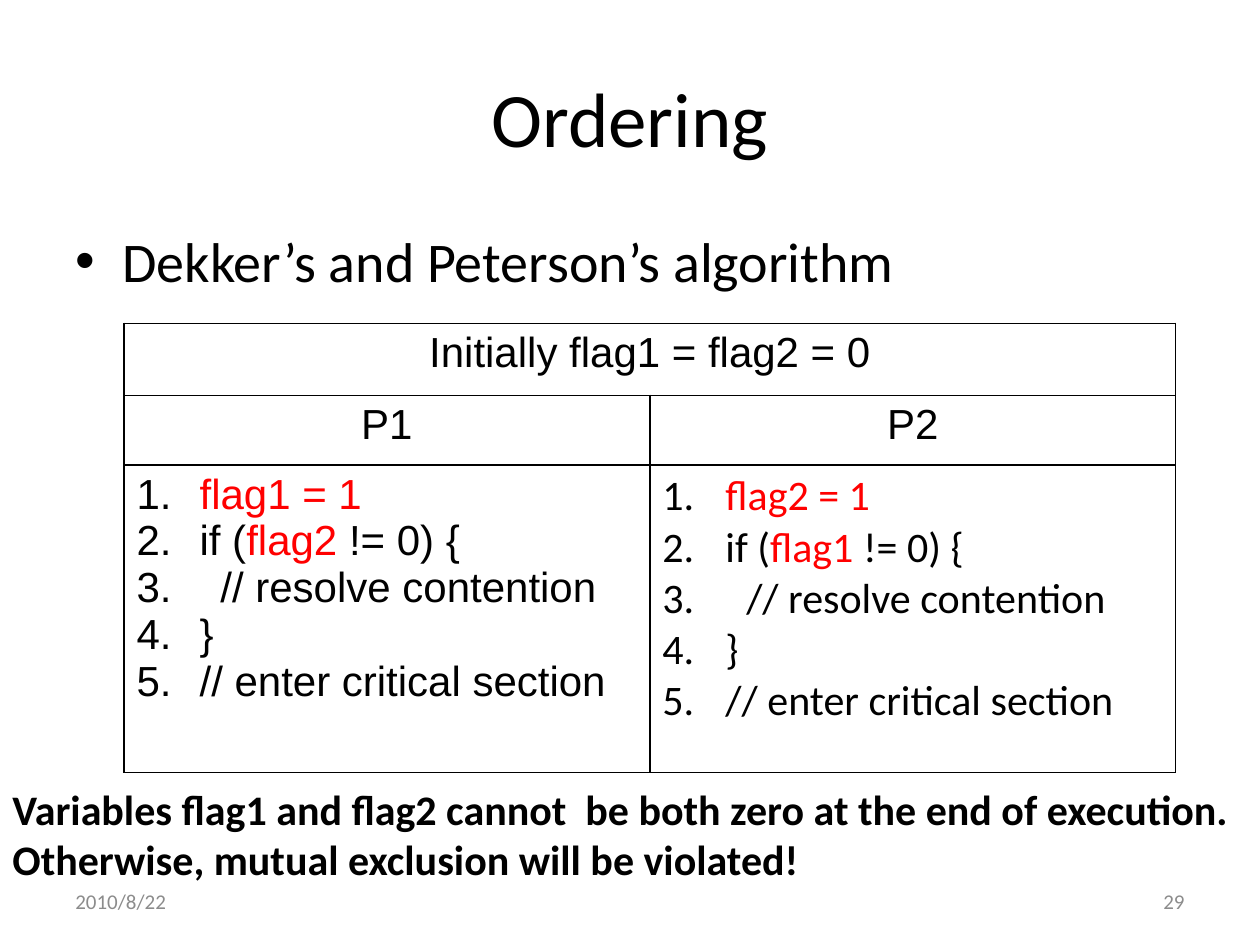
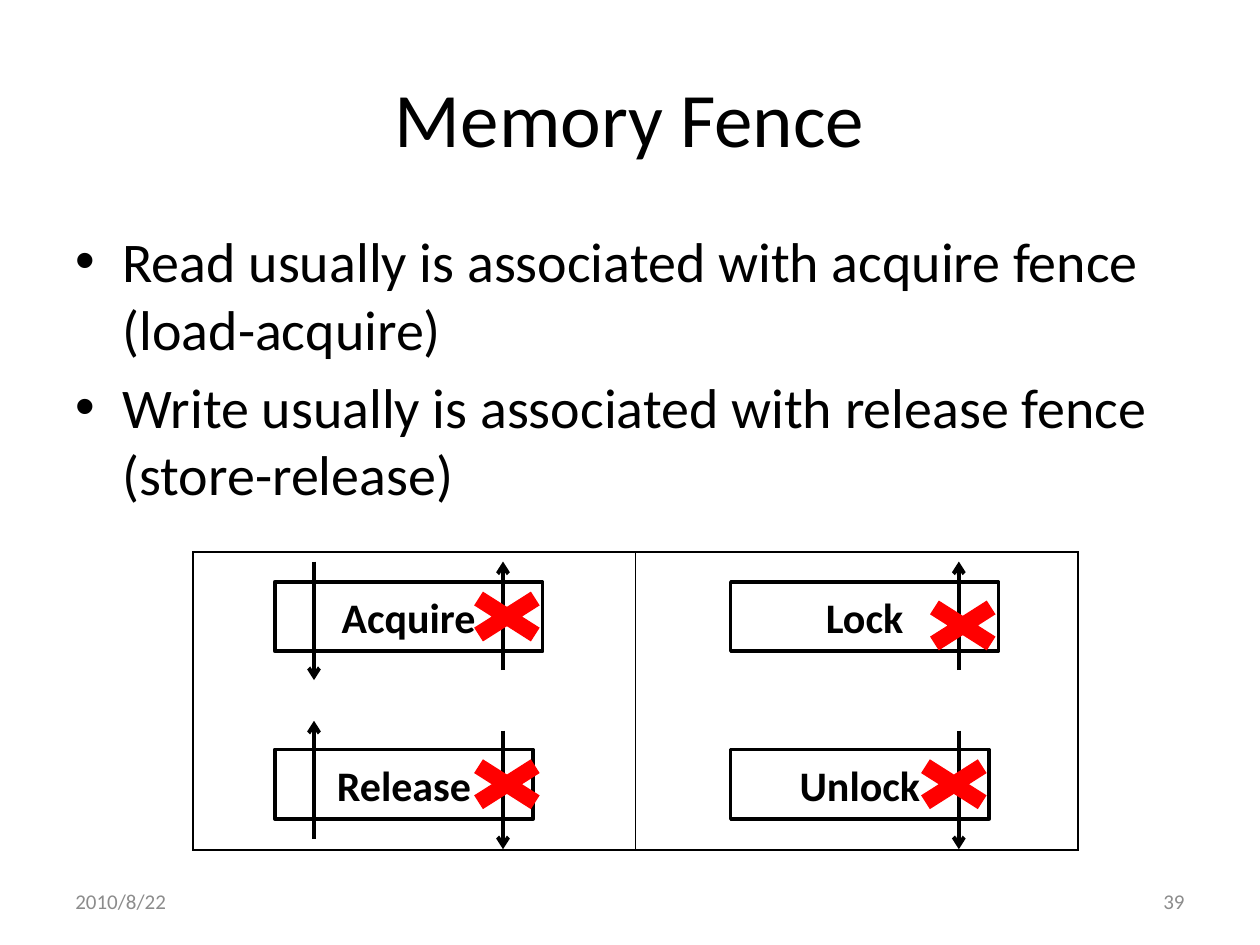
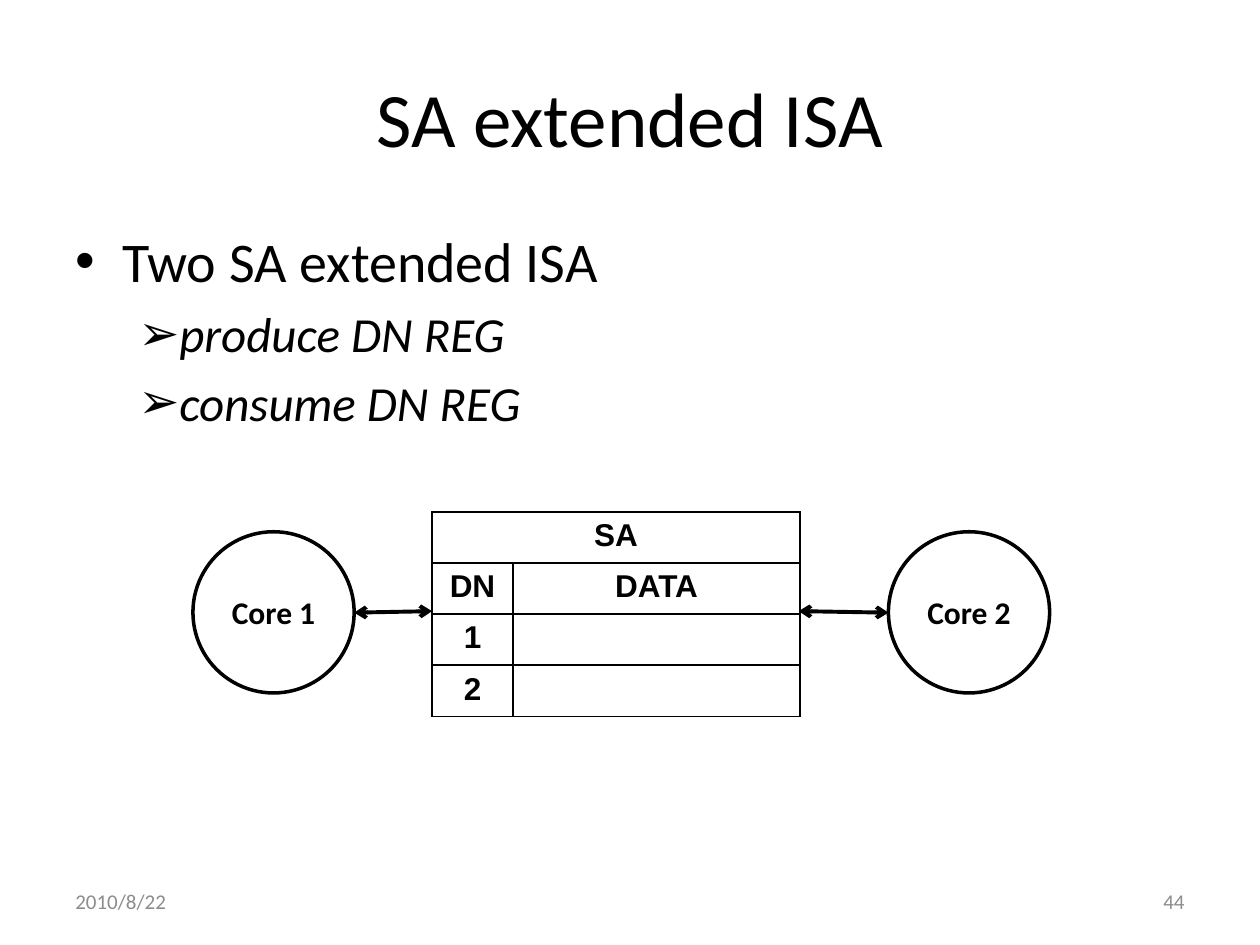
from dataclasses import dataclass
from typing import NamedTuple, Optional

from lxml import etree
from pptx import Presentation
from pptx import util as u
from pptx.dml.color import RGBColor
from pptx.enum import shapes, text
from pptx.oxml import ns
from pptx.util import Cm


# Theme: colours, fonts and type sizes
@dataclass(frozen=True)
class Theme:
    ink: str = "000000"
    paper: str = "FFFFFF"
    accent: str = "FF0000"
    muted: str = "8C8C8C"
    font: str = "Calibri"
    table_font: str = "Arial"
    title: int = 44
    body: int = 32
    sub_body: int = 28
    label: int = 24
    small_label: int = 18
    footer: int = 12
    outline: float = 2
    arrow: float = 2.25
    border: float = 1


THEME = Theme()
LEFT, CENTER, RIGHT = text.PP_ALIGN.LEFT, text.PP_ALIGN.CENTER, text.PP_ALIGN.RIGHT
DATE = "2010/8/22"


class Box(NamedTuple):
    left: float
    top: float
    width: float
    height: float

    def lengths(self) -> list:
        return [Cm(value) for value in self]


class Run(NamedTuple):
    words: str
    color: str = THEME.ink


class Bullet(NamedTuple):
    mark: str  # an empty mark means automatic numbering
    margin: float
    hanging: float


POINT = Bullet("•", 0.95, 0.95)
SUB_POINT = Bullet("➢", 2.06, 0.79)
NUMBER = Bullet("", 1.27, 1.27)
NESTED_NUMBER = Bullet("", 1.69, 1.69)

TITLE_BOX = Box(1.27, 0.76, 22.86, 3.18)
BODY_BOX = Box(1.27, 4.45, 22.86, 12.57)
DATE_BOX = Box(1.27, 17.65, 5.93, 1.02)
NUMBER_BOX = DATE_BOX._replace(left=18.2)


# Text
def add_bullet(paragraph, bullet: Bullet) -> None:
    properties = paragraph._p.get_or_add_pPr()
    properties.set("marL", str(Cm(bullet.margin)))
    properties.set("indent", str(-Cm(bullet.hanging)))
    color = etree.SubElement(properties, ns.qn("a:buClr"))
    etree.SubElement(color, ns.qn("a:srgbClr"), val=THEME.ink)
    etree.SubElement(properties, ns.qn("a:buFont"), typeface=THEME.table_font)
    if bullet.mark:
        etree.SubElement(properties, ns.qn("a:buChar"), char=bullet.mark)
    else:
        etree.SubElement(properties, ns.qn("a:buAutoNum"), type="arabicPeriod")


def write(frame, *runs: Run, size: float, font: str = THEME.font, bold: bool = False,
          italic: bool = False, align=LEFT, bullet: Optional[Bullet] = None,
          space_before: float = 0) -> None:
    """Fill the first paragraph of the frame, or append another one."""
    paragraph = frame.paragraphs[-1]
    if paragraph.runs:
        paragraph = frame.add_paragraph()
    paragraph.alignment = align
    paragraph.space_before = u.Pt(space_before)
    if bullet:
        add_bullet(paragraph, bullet)
    for words, color in runs:
        run = paragraph.add_run()
        run.text = words
        run.font.size, run.font.name = u.Pt(size), font
        run.font.bold, run.font.italic = bold, italic
        run.font.color.rgb = RGBColor.from_string(color)


def add_text_box(slide, box: Box, anchor=text.MSO_ANCHOR.MIDDLE):
    frame = slide.shapes.add_textbox(*box.lengths()).text_frame
    frame.word_wrap = True
    frame.vertical_anchor = anchor
    return frame


# Shapes, arrows and tables
def add_shape(slide, kind, box: Box, fill: Optional[str] = None, outlined: bool = False):
    shape = slide.shapes.add_shape(kind, *box.lengths())
    shape.shadow.inherit = False
    if fill:
        shape.fill.solid()
        shape.fill.fore_color.rgb = RGBColor.from_string(fill)
    else:
        shape.fill.background()
    if outlined:
        shape.line.color.rgb = RGBColor.from_string(THEME.ink)
        shape.line.width = u.Pt(THEME.outline)
    else:
        shape.line.fill.background()
    shape.text_frame.word_wrap = True
    shape.text_frame.vertical_anchor = text.MSO_ANCHOR.MIDDLE
    return shape


def add_arrow(slide, start: tuple, end: tuple, both_ends: bool = False) -> None:
    connector = slide.shapes.add_connector(
        shapes.MSO_CONNECTOR.STRAIGHT, *[Cm(value) for value in start + end])
    connector.line.color.rgb = RGBColor.from_string(THEME.ink)
    connector.line.width = u.Pt(THEME.arrow)
    properties = connector.element.spPr
    line = properties.find(ns.qn("a:ln"))
    for name in ["a:headEnd", "a:tailEnd"] if both_ends else ["a:tailEnd"]:
        etree.SubElement(line, ns.qn(name), type="arrow")
    etree.SubElement(properties, ns.qn("a:effectLst"))


def add_borders(cell) -> None:
    properties = cell._tc.get_or_add_tcPr()
    for position, side in enumerate(["a:lnL", "a:lnR", "a:lnT", "a:lnB"]):
        line = etree.Element(ns.qn(side), w=str(u.Pt(THEME.border)))
        fill = etree.SubElement(line, ns.qn("a:solidFill"))
        etree.SubElement(fill, ns.qn("a:srgbClr"), val=THEME.ink)
        properties.insert(position, line)


def add_table(slide, left: float, top: float, columns: list, rows: list,
              fill: Optional[str] = None):
    box = Box(left, top, sum(columns), sum(rows))
    table = slide.shapes.add_table(len(rows), len(columns), *box.lengths()).table
    table.first_row = table.horz_banding = False
    for column, width in zip(table.columns, columns):
        column.width = Cm(width)
    for row, height in zip(table.rows, rows):
        row.height = Cm(height)
    for cell in table.iter_cells():
        if fill:
            cell.fill.solid()
            cell.fill.fore_color.rgb = RGBColor.from_string(fill)
        else:
            cell.fill.background()
        add_borders(cell)
    return table


# What every slide shares
def add_slide(presentation, title: str, number: int, points: list, sub_points: tuple = ()):
    slide = presentation.slides.add_slide(presentation.slide_layouts[6])
    write(add_text_box(slide, TITLE_BOX), Run(title), size=THEME.title, align=CENTER)
    body = add_text_box(slide, BODY_BOX, text.MSO_ANCHOR.TOP)
    for point in points:
        write(body, Run(point), size=THEME.body, bullet=POINT,
              space_before=0.2 * THEME.body)
    for point in sub_points:
        write(body, Run(point), size=THEME.sub_body, italic=True, bullet=SUB_POINT,
              space_before=0.2 * THEME.sub_body)
    return slide, number


def add_footer(slide, number: int) -> None:
    for box, words, align in [(DATE_BOX, DATE, LEFT), (NUMBER_BOX, str(number), RIGHT)]:
        write(add_text_box(slide, box), Run(words, THEME.muted), size=THEME.footer,
              align=align)


# Slide: ordering
def write_process(cell, own_flag: str, other_flag: str, font: str) -> None:
    lines = [
        ([Run(f"{own_flag} = 1", THEME.accent)], NUMBER),
        ([Run("if ("), Run(other_flag, THEME.accent), Run(" != 0) {")], NUMBER),
        ([Run("// resolve contention")], NESTED_NUMBER),
        ([Run("}")], NUMBER),
        ([Run("// enter critical section")], NUMBER),
    ]
    for runs, bullet in lines:
        write(cell.text_frame, *runs, size=THEME.label, font=font, bullet=bullet)


def build_ordering(presentation) -> None:
    slide, number = add_slide(presentation, "Ordering", 29,
                              ["Dekker’s and Peterson’s algorithm"])
    note = add_shape(slide, shapes.MSO_SHAPE.RECTANGLE, Box(0, 15.72, 25.4, 2.18),
                     fill=THEME.paper)
    write(note.text_frame,
          Run("Variables flag1 and flag2 cannot  be both zero at the end of execution. "
              "Otherwise, mutual exclusion will be violated!"),
          size=THEME.label, bold=True)
    table = add_table(slide, 2.5, 6.52, [10.6, 10.6], [1.45, 1.4, 6.2], THEME.paper)
    table.cell(0, 0).merge(table.cell(0, 1))
    headings = {(0, 0): "Initially flag1 = flag2 = 0", (1, 0): "P1", (1, 1): "P2"}
    for position, heading in headings.items():
        write(table.cell(*position).text_frame, Run(heading), size=THEME.label,
              font=THEME.table_font, align=CENTER)
    write_process(table.cell(2, 0), "flag1", "flag2", THEME.table_font)
    write_process(table.cell(2, 1), "flag2", "flag1", THEME.font)
    add_footer(slide, number)


# Slide: memory fence
@dataclass(frozen=True)
class Fence:
    """A fence box; arrows run between heights measured from its top."""
    label: str
    left: float
    top: float
    width: float
    blocked: tuple
    passing: Optional[tuple] = None
    cross_left: float = 3.58
    cross_top: float = 0


BLOCKED_UP, BLOCKED_DOWN = (1.78, -0.41), (-0.38, 2.01)
FENCES = [
    Fence("Release", 5.54, 15.11, 5.21, BLOCKED_DOWN, passing=(1.8, -0.58)),
    Fence("Acquire", 5.54, 11.73, 5.4, BLOCKED_UP, passing=(-0.41, 1.98)),
    Fence("Unlock", 14.73, 15.11, 5.21, BLOCKED_DOWN, cross_left=3.4),
    Fence("Lock", 14.73, 11.73, 5.4, BLOCKED_UP, cross_top=0.18),
]


def add_fence(slide, fence: Fence) -> None:
    box = add_shape(slide, shapes.MSO_SHAPE.RECTANGLE,
                    Box(fence.left, fence.top, fence.width, 1.4), outlined=True)
    write(box.text_frame, Run(fence.label), size=THEME.label, bold=True, align=CENTER)
    for offset, heights in [(0.79, fence.passing), (4.6, fence.blocked)]:
        if heights:
            start, end = [(fence.left + offset, fence.top + height) for height in heights]
            add_arrow(slide, start, end)
    add_shape(slide, shapes.MSO_SHAPE.MATH_MULTIPLY,
              Box(fence.left + fence.cross_left, fence.top + fence.cross_top, 2.2, 1.4),
              fill=THEME.accent)


def build_memory_fence(presentation) -> None:
    slide, number = add_slide(presentation, "Memory Fence", 39, [
        "Read usually is associated with acquire fence (load-acquire)",
        "Write usually is associated with release fence (store-release)"])
    add_footer(slide, number)
    add_table(slide, 3.89, 11.13, [8.92, 8.92], [6])
    for fence in FENCES:
        add_fence(slide, fence)


# Slide: extended instruction set
def build_extended_isa(presentation) -> None:
    slide, number = add_slide(presentation, "SA extended ISA", 44, ["Two SA extended ISA"],
                              ("produce DN REG", "consume DN REG"))
    add_footer(slide, number)
    for label, left in [("Core 1", 3.89), ("Core 2", 17.91)]:
        core = add_shape(slide, shapes.MSO_SHAPE.OVAL, Box(left, 10.72, 3.25, 3.25),
                         outlined=True)
        write(core.text_frame, Run(label), size=THEME.small_label, bold=True, align=CENTER)
    table = add_table(slide, 8.71, 10.32, [1.63, 5.79], [1.03] * 4)
    table.cell(0, 0).merge(table.cell(0, 1))
    labels = {(0, 0): "SA", (1, 0): "DN", (1, 1): "DATA", (2, 0): "1", (3, 0): "2"}
    for position, label in labels.items():
        write(table.cell(*position).text_frame, Run(label), size=THEME.small_label,
              font=THEME.table_font, bold=True, align=CENTER)
    add_arrow(slide, (7.14, 12.35), (8.71, 12.32), both_ends=True)
    add_arrow(slide, (16.1, 12.32), (17.91, 12.35), both_ends=True)


def main() -> None:
    presentation = Presentation()
    presentation.slide_width, presentation.slide_height = Cm(25.4), Cm(19.05)
    build_ordering(presentation)
    build_memory_fence(presentation)
    build_extended_isa(presentation)
    presentation.save("out.pptx")


if __name__ == "__main__":
    main()
